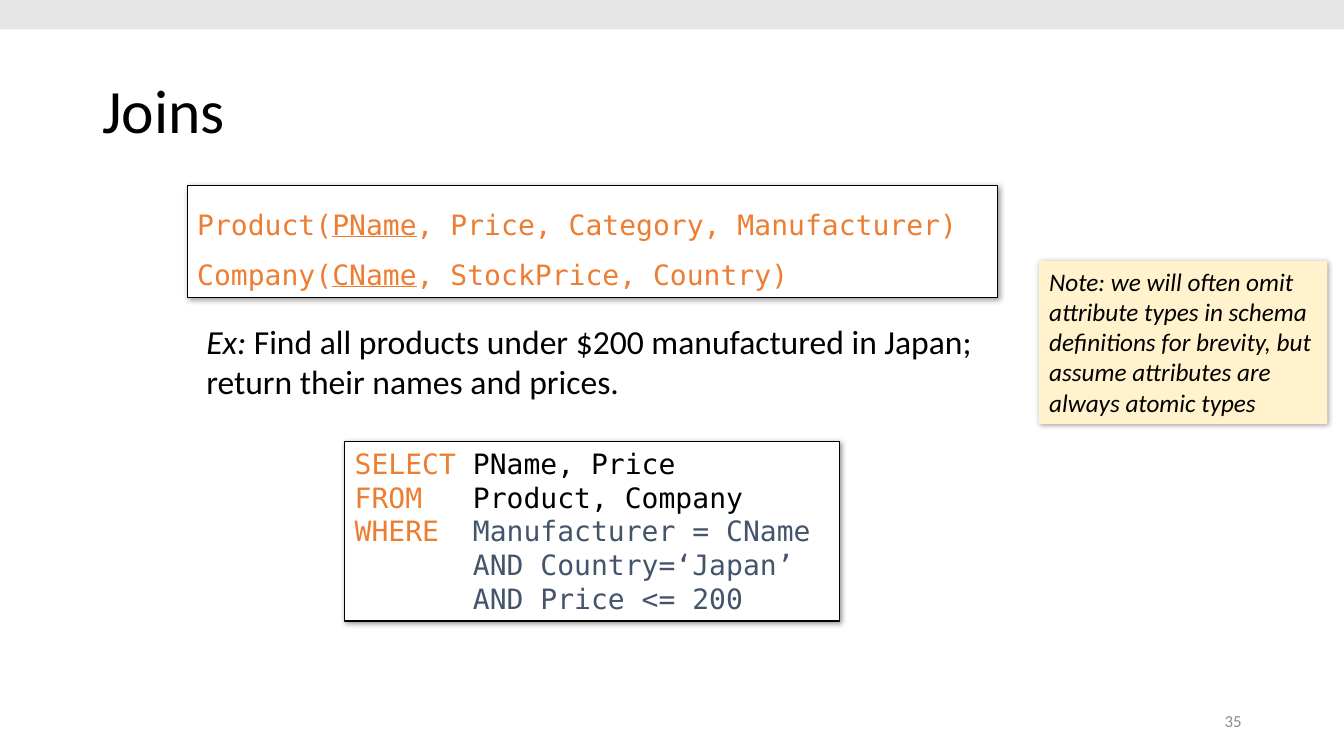
from pptx import Presentation
from pptx.dml.color import RGBColor
from pptx.enum.shapes import MSO_SHAPE
from pptx.enum.text import MSO_ANCHOR, MSO_AUTO_SIZE, PP_ALIGN
from pptx.oxml import parse_xml
from pptx.util import Cm, Pt

HUES = {"black": "000000", "white": "FFFFFF", "orange": "ED7D31", "slate": "44546A",
        "grey": "8C8C8C", "cream": "FFF2CC", "band": "E7E6E6"}
SANS, MONO = "Calibri", "DejaVu Sans Mono"

# Content: paragraphs of (text, colour, style) runs
TITLE = [[("Joins", "black", "")]]
PAGE = [[("35", "grey", "")]]
TASK = [[("Ex: ", "black", "i"),
         ("Find all products under $200 manufactured in Japan;\n"
          "return their names and prices.", "black", "")]]
TABLES = [("Product", "PName", ", Price, Category, Manufacturer)"),
          ("Company", "CName", ", StockPrice, Country)")]
SCHEMA = [[(name + "(", "orange", ""), (key, "orange", "u"), (rest, "orange", "")]
          for name, key, rest in TABLES]
QUERY = [[("SELECT ", "orange", ""), ("PName, Price\n", "black", ""),
          ("FROM   ", "orange", ""), ("Product, Company\n", "black", ""),
          ("WHERE  ", "orange", ""), ("Manufacturer = CName", "slate", "")],
         [("       AND Country=‘Japan’\n       AND Price <= 200", "slate", "")]]
NOTE = [[("Note: we will often omit attribute types in schema definitions for "
          "brevity, but assume attributes are always atomic types", "black", "i")]]

deck = Presentation()
deck.slide_width, deck.slide_height = Cm(33.87), Cm(19.05)
slide = deck.slides.add_slide(deck.slide_layouts[6])


def tint(hue):
    return RGBColor.from_string(HUES[hue])


def write(shape, paras, size, font=SANS, space=1.0, align=PP_ALIGN.LEFT,
          anchor=MSO_ANCHOR.TOP, wrap=True):
    frame = shape.text_frame
    frame.word_wrap = wrap
    frame.vertical_anchor = anchor
    for n, runs in enumerate(paras):
        para = frame.add_paragraph() if n else frame.paragraphs[0]
        para.alignment, para.line_spacing = align, space
        para.font.size = Pt(size)
        for text, hue, style in runs:
            for k, part in enumerate(text.split("\n")):
                if k:
                    para.add_line_break()
                if not part:
                    continue
                run = para.add_run()
                run.text = part
                run.font.name, run.font.size = font, Pt(size)
                run.font.color.rgb = tint(hue)
                run.font.italic = style == "i"
                run.font.underline = style == "u"


def label(spot, paras, size, **look):
    box = slide.shapes.add_textbox(*map(Cm, spot))
    write(box, paras, size, **look)


def panel(spot, fill, edge=None):
    box = slide.shapes.add_shape(MSO_SHAPE.RECTANGLE, *map(Cm, spot))
    box.shadow.inherit = False
    box.fill.solid()
    box.fill.fore_color.rgb = tint(fill)
    if edge:
        box.line.color.rgb = tint(edge)
        box.line.width = Pt(0.75)
    else:
        box.line.fill.background()
    return box


def card(spot, fill, edge, paras, size, **look):
    box = panel(spot, fill, edge)
    # Soft shadow to the lower right
    glow = parse_xml(
        '<a:outerShdw xmlns:a="http://schemas.openxmlformats.org/drawingml/2006/main"'
        f' blurRad="{Pt(4)}" dist="{Pt(1)}" dir="2700000" algn="tl" rotWithShape="0">'
        f'<a:srgbClr val="{HUES["black"]}"><a:alpha val="40000"/></a:srgbClr></a:outerShdw>')
    box._element.spPr.find("{*}effectLst").append(glow)
    write(box, paras, size, **look)
    box.text_frame.auto_size = MSO_AUTO_SIZE.SHAPE_TO_FIT_TEXT


# Page number, title and task
label((23.92, 17.66, 7.62, 1.01), PAGE, 12, align=PP_ALIGN.RIGHT, anchor=MSO_ANCHOR.MIDDLE)
label((2.33, 1.01, 29.21, 3.68), TITLE, 44, space=0.9, anchor=MSO_ANCHOR.MIDDLE)
label((4.95, 7.95, 19.96, 2.49), TASK, 24)

# Query, schema and note
card((8.69, 11.13, 12.47, 4.52), "white", "black", QUERY, 20, font=MONO, wrap=False)
card((4.72, 4.67, 20.42, 2.82), "white", "black", SCHEMA, 20, font=MONO, space=1.5)
card((26.19, 6.58, 7.26, 4.11), "cream", None, NOTE, 18)

# Top band
panel((0, 0, 33.87, 0.74), "band")

deck.save("out.pptx")
